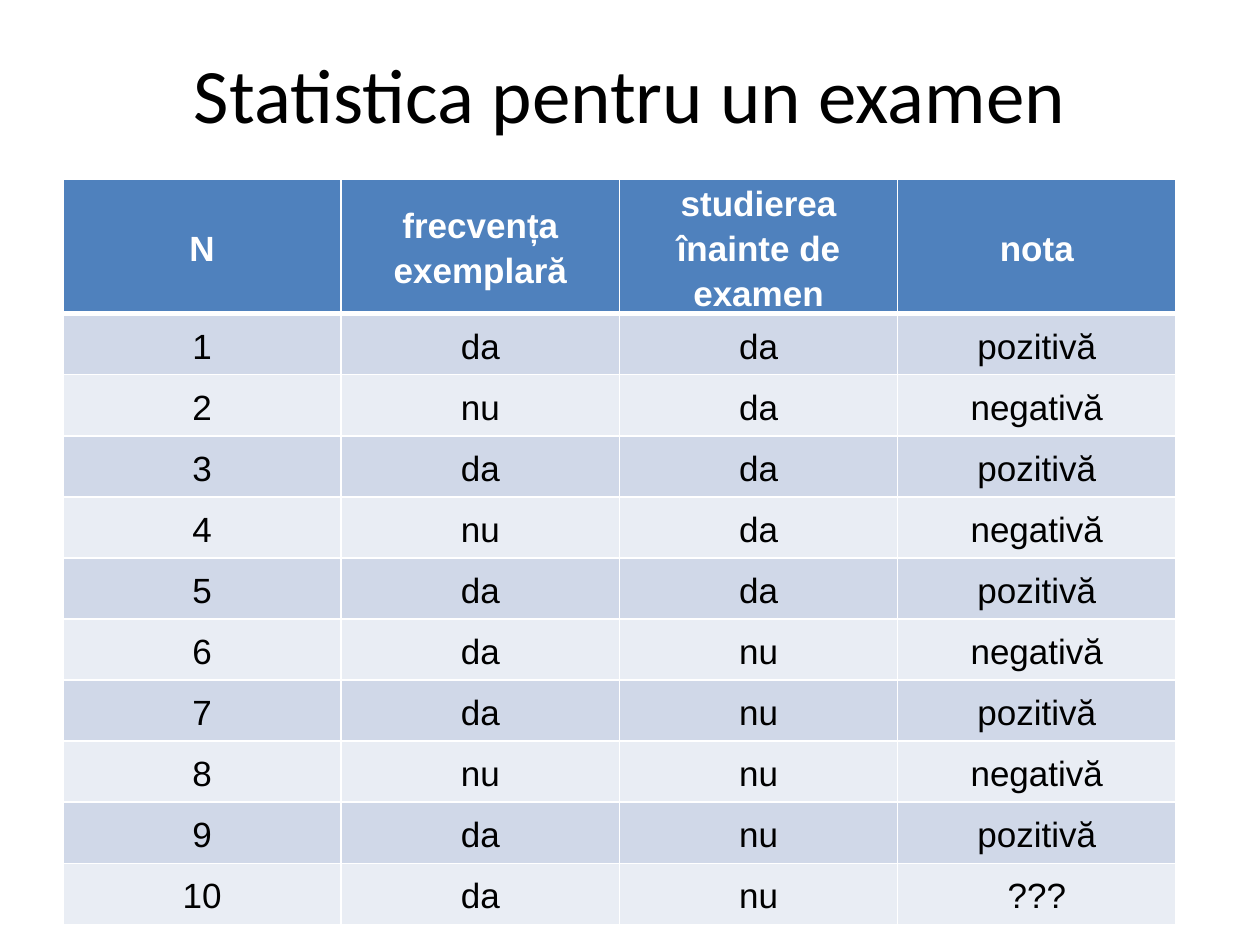
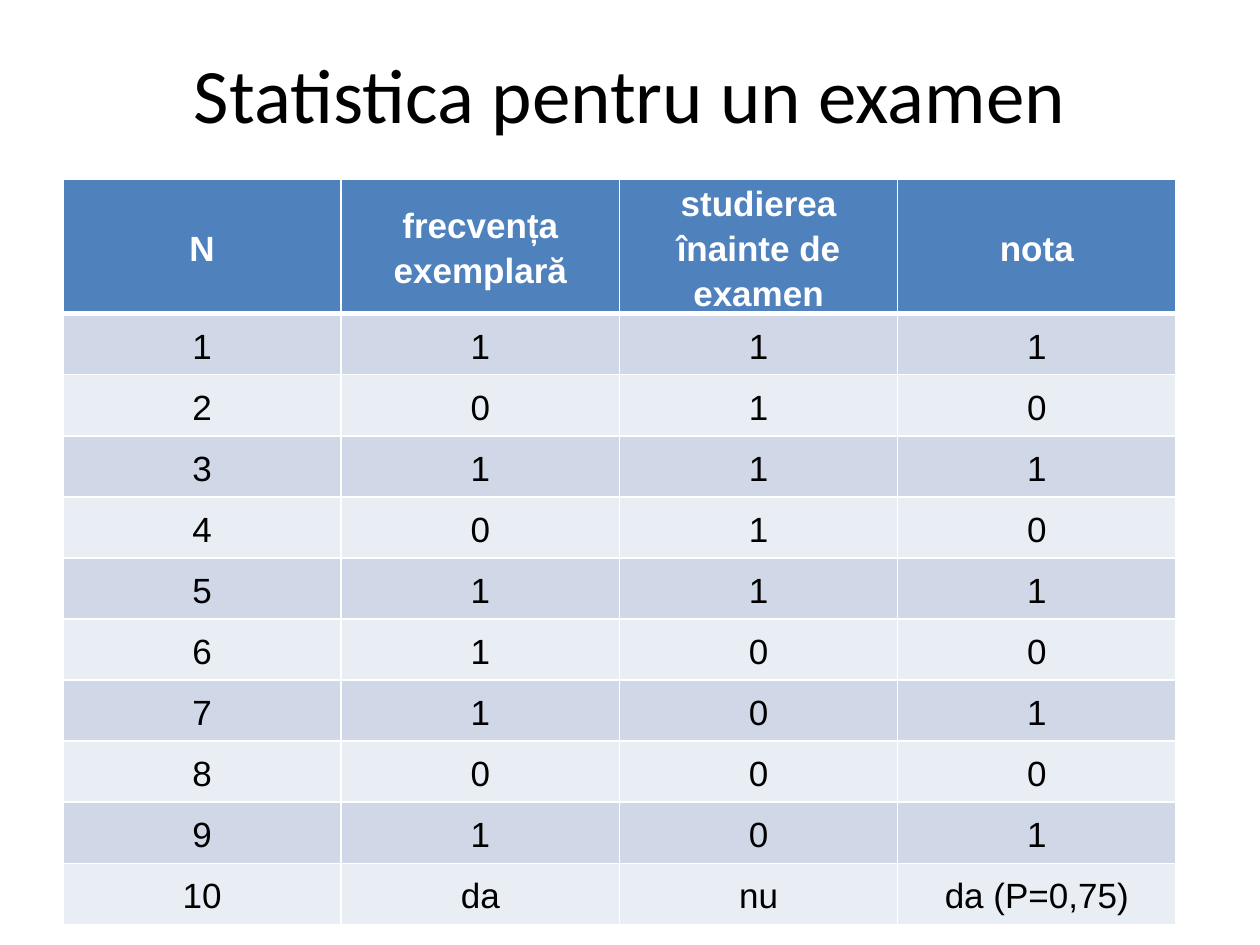
import dataclasses

import lxml.etree
import pptx
import pptx.dml.color
import pptx.enum.text
import pptx.oxml.ns
import pptx.util

Pt = pptx.util.Pt
RGB = pptx.dml.color.RGBColor.from_string


@dataclasses.dataclass(frozen=True)
class Theme:
    """Colours, fonts and type sizes shared by the slides."""
    text: str = "000000"
    white: str = "FFFFFF"
    header: str = "4F81BD"
    bands: tuple = ("D0D8E8", "E9EDF4")
    title_font: str = "Calibri"
    table_font: str = "Arial"
    title_size: int = 44
    table_size: int = 20


theme = Theme()


def style_text(tf, font, size, color, bold=False):
    """Centre the only paragraph of a text frame and format its run."""
    p = tf.paragraphs[0]
    p.alignment = pptx.enum.text.PP_ALIGN.CENTER
    r = p.runs[0]
    r.font.name = font
    r.font.size = Pt(size)
    r.font.bold = bold
    r.font.color.rgb = RGB(color)
    return p


def add_borders(cell, widths, color):
    """Draw solid cell borders; widths maps L, R, T, B to points."""
    tc_pr = cell._tc.get_or_add_tcPr()
    qn = pptx.oxml.ns.qn
    for side, width in widths.items():
        ln = lxml.etree.SubElement(tc_pr, qn(f"a:ln{side}"), w=str(Pt(width)))
        fill = lxml.etree.SubElement(ln, qn("a:solidFill"))
        lxml.etree.SubElement(fill, qn("a:srgbClr"), val=color)


title = "Statistica pentru un examen"
header = ["N", "frecvența exemplară", "studierea înainte de examen", "nota"]
attendance = [1, 0, 1, 0, 1, 1, 1, 0, 1]
study = [1, 1, 1, 1, 1, 0, 0, 0, 0]
grade = [1, 0, 1, 0, 1, 0, 1, 0, 1]
results = list(zip(attendance, study, grade))

yes_no = ["nu", "da"]
sign = ["negativă", "pozitivă"]
as_words = [[yes_no[a], yes_no[b], sign[c]] for a, b, c in results]
as_numbers = [[str(v) for v in row] for row in results]
slides = [
    as_words + [["da", "nu", "???"]],
    as_numbers + [["da", "nu", "da (P=0,75)"]],
]

left, top, width, height = 36, 102.24, 636, 432
header_height, row_height = 39.6, 34.92

prs = pptx.Presentation()
prs.slide_width, prs.slide_height = Pt(720), Pt(540)
title_only = prs.slide_layouts[5]

for body in slides:
    s = prs.slides.add_slide(title_only)
    s.background.fill.solid()
    s.background.fill.fore_color.rgb = RGB(theme.white)

    sp = s.shapes.title
    sp.left, sp.top, sp.width, sp.height = Pt(36), Pt(21.6), Pt(648), Pt(62.6)
    tf = sp.text_frame
    tf.text = title
    tf.auto_size = pptx.enum.text.MSO_AUTO_SIZE.NONE
    tf.vertical_anchor = pptx.enum.text.MSO_ANCHOR.MIDDLE
    style_text(tf, theme.title_font, theme.title_size, theme.text)

    rows = [header] + [[str(n)] + row for n, row in enumerate(body, 1)]
    frame = s.shapes.add_table(len(rows), len(header), Pt(left), Pt(top),
                               Pt(width), Pt(height))
    table = frame.table
    for i, row in enumerate(rows):
        is_header = i == 0
        table.rows[i].height = Pt(header_height if is_header else row_height)
        fill = theme.header if is_header else theme.bands[(i - 1) % 2]
        borders = {"L": 1, "R": 1, "T": 3 if i == 1 else 1,
                   "B": 3 if is_header else 1}
        for j, text in enumerate(row):
            cell = table.cell(i, j)
            cell.margin_left = cell.margin_right = Pt(5.04)
            cell.margin_top = cell.margin_bottom = 0
            cell.vertical_anchor = pptx.enum.text.MSO_ANCHOR.MIDDLE
            add_borders(cell, borders, theme.white)
            cell.fill.solid()
            cell.fill.fore_color.rgb = RGB(fill)
            cell.text_frame.text = text
            p = style_text(cell.text_frame, theme.table_font, theme.table_size,
                           theme.white if is_header else theme.text, is_header)
            p.line_spacing = 1.15
            p.space_after = Pt(10)
    frame.height = Pt(height)

prs.save("out.pptx")
